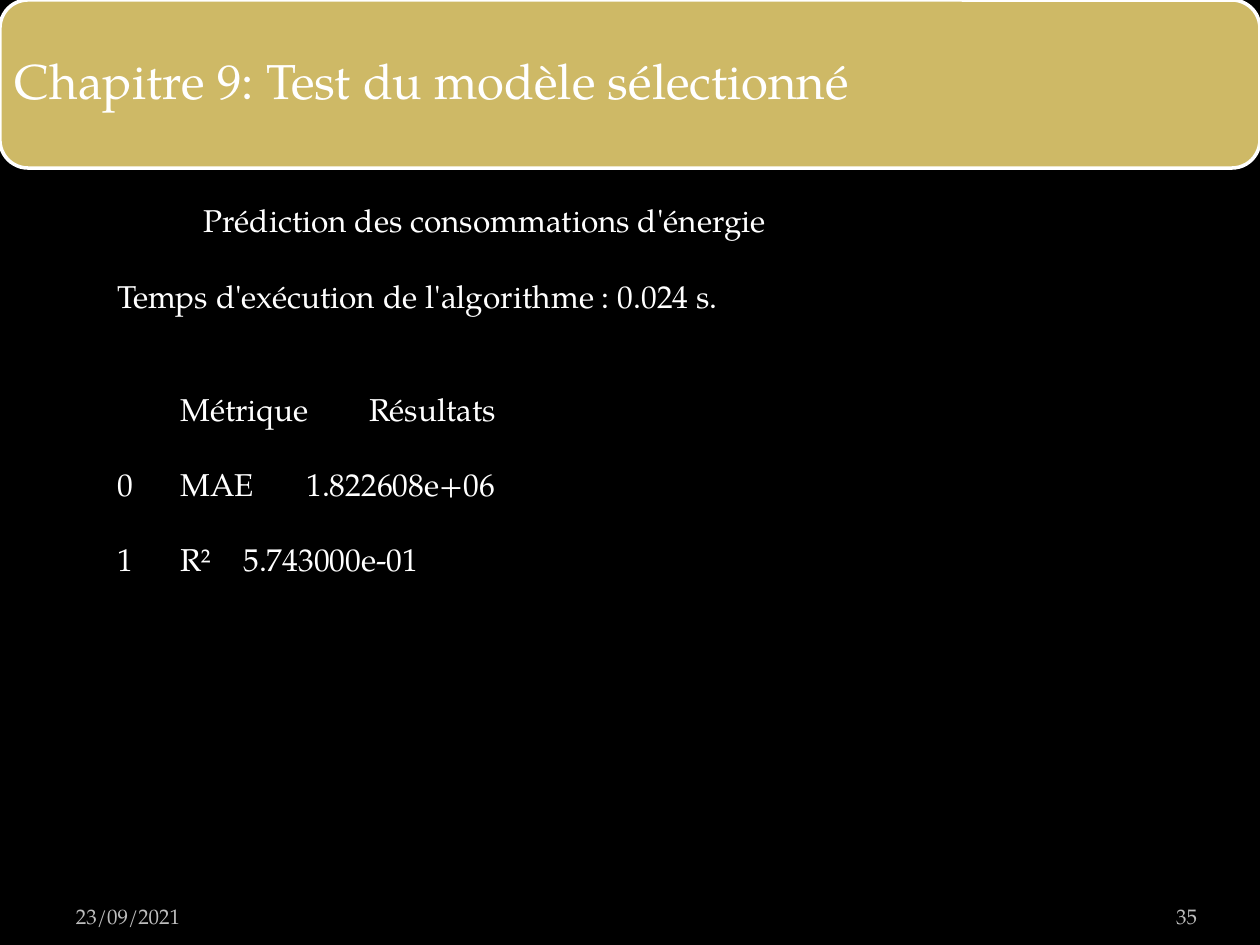
from lxml.etree import SubElement
from pptx import Presentation
from pptx.dml.color import RGBColor
from pptx.enum.shapes import MSO_SHAPE
from pptx.enum.text import MSO_ANCHOR, MSO_AUTO_SIZE, PP_ALIGN
from pptx.oxml.ns import qn
from pptx.util import Emu, Pt

BLACK = RGBColor(0x00, 0x00, 0x00)
WHITE = RGBColor(0xFF, 0xFF, 0xFF)
GOLD = RGBColor(0xCE, 0xB9, 0x66)
GREY = RGBColor(0xBD, 0xBD, 0xBD)
FONT = "TeX Gyre Pagella"
LINE_GAP = 21.5
BANNER = (0, 0, 1260, 168)

BODY = [
    ("Prédiction des consommations d'énergie", 0, 86, ()),
    ("Temps d'exécution de l'algorithme : 0.024 s.", 1, 0, ()),
    ("\tMétrique\tRésultats", 2, 0, (148, 513)),
    ("0\tMAE\t1.822608e+06", 1, 0, (156, 521)),
    ("1\tR²\t5.743000e-01", 1, 0, (156, 517)),
]


def px(count):
    """Turn pixels, 126 to the inch, into EMU."""
    return Emu(round(count * 914400 / 126))


def style_para(para, size, color, align=PP_ALIGN.LEFT):
    """Align a paragraph and format its runs."""
    para.alignment = align
    for span in para.runs:
        span.font.name = FONT
        span.font.size = Pt(size)
        span.font.color.rgb = color


def set_layout(para, margin, stops):
    """Give a paragraph its left margin and tab stops."""
    properties = para._p.get_or_add_pPr()
    properties.set("marL", str(px(margin)))
    properties.set("indent", "0")
    if stops:
        tabs = SubElement(properties, qn("a:tabLst"))
        for stop in stops:
            SubElement(tabs, qn("a:tab"), pos=str(px(stop)), algn="l")


def add_banner(page):
    """Draw the rounded gold band."""
    band = page.shapes.add_shape(MSO_SHAPE.ROUNDED_RECTANGLE, *map(px, BANNER))
    band.shadow.inherit = False
    band.fill.solid()
    band.fill.fore_color.rgb = GOLD
    band.line.color.rgb = WHITE
    band.line.width = Pt(2)


def set_title(page, text):
    """Place the title in front of the band."""
    title = page.shapes.title
    title.left, title.top, title.width, title.height = map(px, BANNER)
    page.shapes._spTree.append(title._element)
    frame = title.text_frame
    frame.text = text
    frame.word_wrap = True
    frame.auto_size = MSO_AUTO_SIZE.NONE
    frame.vertical_anchor = MSO_ANCHOR.MIDDLE
    frame.margin_left = frame.margin_right = px(15)
    frame.margin_top = frame.margin_bottom = px(15)
    para = frame.paragraphs[0]
    para.line_spacing = 0.9
    style_para(para, 28, WHITE)


def add_box(page, left, top, width, height):
    """Add a wrapping text box and return its frame."""
    box = page.shapes.add_textbox(*map(px, (left, top, width, height)))
    box.text_frame.word_wrap = True
    return box.text_frame


def add_body(page):
    """Write the statements and the tabbed results."""
    frame = add_box(page, 105, 195, 1111, 394)
    for index, (text, gaps, margin, stops) in enumerate(BODY):
        para = frame.add_paragraph() if index else frame.paragraphs[0]
        para.text = text
        para.space_before = Pt(gaps * LINE_GAP)
        style_para(para, 18, WHITE)
        set_layout(para, margin, stops)


def add_footer(page, text, left, width, side_margin, align):
    """Write one small grey footer entry."""
    frame = add_box(page, left, 885, width, 50)
    frame.text = text
    frame.vertical_anchor = MSO_ANCHOR.BOTTOM
    frame.margin_left = frame.margin_right = px(side_margin)
    style_para(frame.paragraphs[0], 12, GREY, align)


def main():
    """Build the slide and save the deck."""
    deck = Presentation()
    deck.slide_width, deck.slide_height = px(1260), px(945)
    page = deck.slides.add_slide(deck.slide_layouts.get_by_name("Title Only"))
    page.background.fill.solid()
    page.background.fill.fore_color.rgb = BLACK
    add_footer(page, "23/09/2021", 63, 294, 13, PP_ALIGN.LEFT)
    add_footer(page, "35", 1092, 105, 0, PP_ALIGN.RIGHT)
    add_banner(page)
    set_title(page, "Chapitre 9: Test du modèle sélectionné")
    add_body(page)
    deck.save("out.pptx")


if __name__ == "__main__":
    main()
